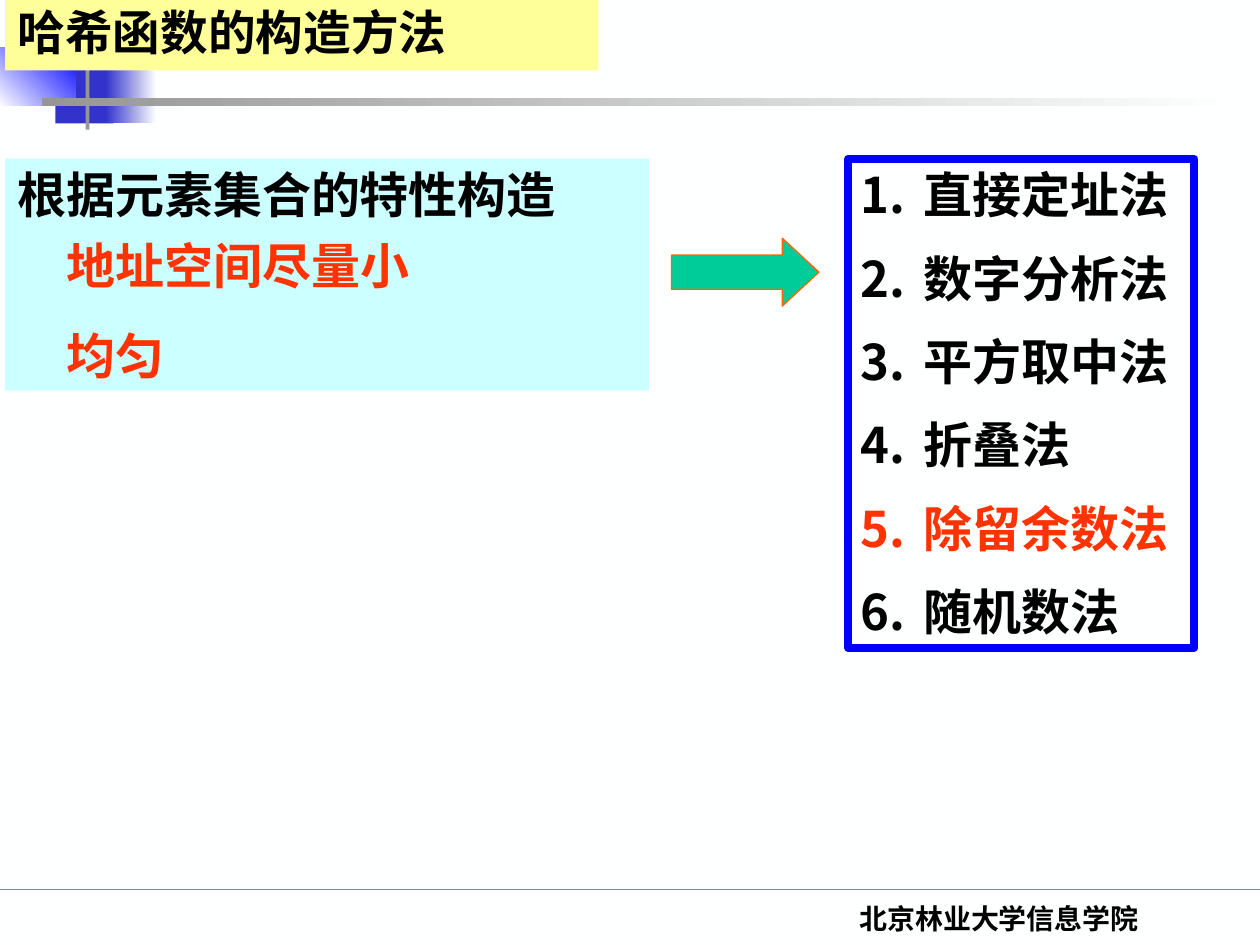
import pptx
import pptx.util
import pptx.dml.color
import pptx.enum.shapes
import pptx.enum.text
import pptx.oxml.ns
from lxml import etree

Inches, Pt = pptx.util.Inches, pptx.util.Pt
RGB = pptx.dml.color.RGBColor
SHAPE = pptx.enum.shapes.MSO_SHAPE
ALIGN = pptx.enum.text.PP_ALIGN
ANCHOR = pptx.enum.text.MSO_ANCHOR
qn = pptx.oxml.ns.qn

BLACK, PAPER = RGB(0, 0, 0), RGB(0xFE, 0xFF, 0xFF)
NAVY, INDIGO = RGB(0x00, 0x33, 0x66), RGB(0x33, 0x33, 0xCC)
BLUE, GREY = RGB(0, 0, 0xFF), RGB(0x96, 0x96, 0x96)
GREEN, ORANGE = RGB(0x00, 0xCC, 0x99), RGB(0xFF, 0x66, 0x00)
RED, YELLOW = RGB(0xFF, 0x33, 0x00), RGB(0xFF, 0xFF, 0x99)
CYAN = RGB(0xCC, 0xFF, 0xFF)
CJK, TIMES = "Noto Sans CJK SC", "Times New Roman"


def add_box(s, box, fill=None, kind=SHAPE.RECTANGLE):
    sp = s.shapes.add_shape(kind, *[Inches(v) for v in box])
    sp.shadow.inherit = False
    sp.line.fill.background()
    if fill is None:
        sp.fill.background()
    else:
        sp.fill.solid()
        sp.fill.fore_color.rgb = fill
    sp.text_frame.word_wrap = True
    sp.text_frame.vertical_anchor = ANCHOR.TOP
    return sp


def add_text(tf, index, text, size, color, font=CJK, before=0, align=ALIGN.LEFT):
    p = tf.paragraphs[0] if index == 0 else tf.add_paragraph()
    p.alignment = align
    p.space_before = Pt(before)
    r = p.add_run()
    r.text = text
    r.font.size, r.font.bold, r.font.name = Pt(size), True, font
    r.font.color.rgb = color
    etree.SubElement(r.font._element, qn("a:ea"), typeface=CJK)
    return p


prs = pptx.Presentation()
prs.slide_width, prs.slide_height = Inches(10), Inches(7.5)
s = prs.slides.add_slide(prs.slide_layouts[5])
s.background.fill.solid()
s.background.fill.fore_color.rgb = PAPER

# Footer rule and school name
rule = s.shapes.add_connector(pptx.enum.shapes.MSO_CONNECTOR.STRAIGHT,
                              0, Inches(7.06), Inches(10), Inches(7.06))
rule.line.color.rgb = GREEN
rule.line.width = Pt(0.75)
etree.SubElement(rule._element.spPr, qn("a:effectLst"))
footer = s.shapes.add_textbox(Inches(5.86), Inches(7.11), Inches(4.14), Inches(0.5))
footer.text_frame.word_wrap = True
add_text(footer.text_frame, 0, "北京林业大学信息学院", 16, BLACK, TIMES, 10, ALIGN.CENTER)

# Corner ornament: box, start colour, end colour (None is solid), angle
ornament = [
    ((0.31, 0, 0.48, 0.52), NAVY, None, 0),
    ((0.72, 0, 0.36, 0.52), NAVY, PAPER, 0),
    ((0.44, 0.46, 0.46, 0.52), INDIGO, None, 0),
    ((0.84, 0.46, 0.4, 0.52), INDIGO, PAPER, 0),
    ((-0.01, 0.38, 0.61, 0.46), PAPER, BLUE, 45),
    ((0.68, -0.12, 0.03, 1.15), GREY, None, 0),
    ((0.33, 0.78, 9.51, 0.06), GREY, PAPER, 0),
]
for box, start, end, angle in ornament:
    sp = add_box(s, box, start)
    if end is not None:
        sp.fill.gradient()
        sp.fill.gradient_angle = angle
        for stop, color in zip(sp.fill.gradient_stops, (start, end)):
            stop.color.rgb = color

# Title, brought in front of the ornament
title = s.shapes.title
title.left, title.top = Inches(0.04), Inches(0)
title.width, title.height = Inches(4.71), Inches(0.56)
title.fill.solid()
title.fill.fore_color.rgb = YELLOW
tf = title.text_frame
tf.word_wrap = True
tf.auto_size = pptx.enum.text.MSO_AUTO_SIZE.NONE
tf.vertical_anchor = ANCHOR.MIDDLE
add_text(tf, 0, "哈希函数的构造方法", 27.2, BLACK).line_spacing = 0.9
s.shapes._spTree.append(title._element)

# Design goals
goals = add_box(s, (0.04, 1.26, 5.11, 1.84), CYAN)
lines = [("根据元素集合的特性构造", BLACK, TIMES, 7, 0),
         ("地址空间尽量小", RED, CJK, 7, 0.39),
         ("均匀", RED, CJK, 17.5, 0.39)]
for i, (text, color, font, before, indent) in enumerate(lines):
    p = add_text(goals.text_frame, i, text, 28, color, font, before)
    p._p.get_or_add_pPr().set("marL", str(Inches(indent)))

# Numbered methods
methods = add_box(s, (6.73, 1.26, 2.75, 3.88))
methods.line.color.rgb = BLUE
methods.line.width = Pt(4.5)
names = ["直接定址法", "数字分析法", "平方取中法", "折叠法", "除留余数法", "随机数法"]
for i, name in enumerate(names):
    color = RED if name == "除留余数法" else BLACK
    pPr = add_text(methods.text_frame, i, name, 28, color, before=14)._p.get_or_add_pPr()
    pPr.set("marL", str(Inches(0.5)))
    pPr.set("indent", str(Inches(-0.5)))
    bullet_color = etree.SubElement(pPr, qn("a:buClr"))
    etree.SubElement(bullet_color, qn("a:srgbClr"), val=str(color))
    etree.SubElement(pPr, qn("a:buFont"), typeface=CJK)
    etree.SubElement(pPr, qn("a:buAutoNum"), type="arabicPeriod")

# Arrow from goals to methods
arrow = add_box(s, (5.33, 1.89, 1.17, 0.54), GREEN, SHAPE.RIGHT_ARROW)
arrow.adjustments[0], arrow.adjustments[1] = 0.5, 0.54
arrow.line.color.rgb = ORANGE
arrow.line.width = Pt(0.75)

prs.save("out.pptx")
